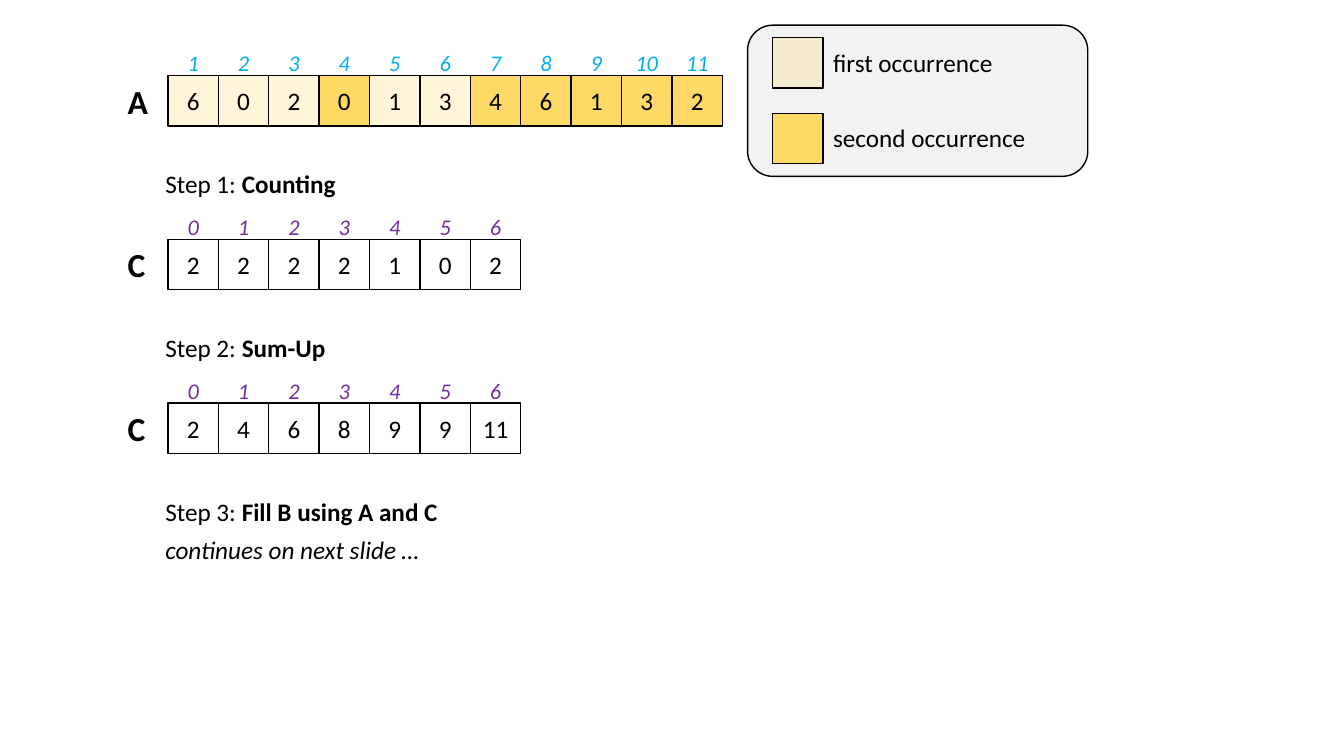
from pptx import Presentation
from pptx.dml.color import RGBColor
from pptx.enum.shapes import MSO_SHAPE as SHAPE
from pptx.enum.text import MSO_ANCHOR as ANCHOR, MSO_AUTO_SIZE as AUTO, PP_ALIGN as ALIGN
from pptx.oxml.ns import qn
from pptx.util import Emu, Pt
from lxml import etree

CELL = 48
INDEX_RISE = 36      # index boxes start this far above their cells
LABEL_OFFSET = 48    # array name sits this far left of its cells
STEP_PITCH = 156
LINE_H = 38

BLACK, GOLD, GREY = "000000", "FFD966", "F2F2F2"
BLUE, PURPLE = "00B0F0", "7030A0"


def px(n):
    return Emu(n * 9525)


def color(value):
    return RGBColor.from_string(value)


def format_run(r, size, value=BLACK, bold=False, italic=False):
    r.font.name = "Calibri"
    r.font.size = Pt(size)
    r.font.color.rgb = color(value)
    r.font.bold = bold
    r.font.italic = italic


def add_text(s, x, y, w, h, text, size=18, value=BLACK, bold=False, italic=False):
    tf = s.shapes.add_textbox(px(x), px(y), px(w), px(h)).text_frame
    tf.word_wrap = True
    tf.auto_size = AUTO.SHAPE_TO_FIT_TEXT
    tf.text = text
    format_run(tf.paragraphs[0].runs[0], size, value, bold, italic)
    return tf


def center(tf):
    tf.vertical_anchor = ANCHOR.MIDDLE
    tf.paragraphs[0].alignment = ALIGN.CENTER


def add_box(s, x, y, w, h, fill=None, opacity=100, kind=SHAPE.RECTANGLE):
    sp = s.shapes.add_shape(kind, px(x), px(y), px(w), px(h))
    sp.shadow.inherit = False
    sp.line.color.rgb = color(BLACK)
    sp.line.width = Pt(1)
    if fill is None:
        sp.fill.background()
        return sp
    sp.fill.solid()
    sp.fill.fore_color.rgb = color(fill)
    if opacity < 100:
        clr = sp.fill._xPr.find(qn("a:solidFill"))[0]
        etree.SubElement(clr, qn("a:alpha"), val=str(opacity * 1000))
    return sp


def add_array(s, x, y, name, values, first_index, index_color, fills=None):
    """Named row of cells with an index above each one."""
    fills = fills or [(None, 100)] * len(values)
    for i, (value, (fill, opacity)) in enumerate(zip(values, fills)):
        left = x + i * CELL
        tf = add_box(s, left, y, CELL, CELL, fill, opacity).text_frame
        tf.text = str(value)
        format_run(tf.paragraphs[0].runs[0], 18)
        center(tf)
        tf = add_text(s, left, y - INDEX_RISE, CELL, CELL, str(first_index + i),
                      16, index_color, italic=True)
        tf.auto_size = AUTO.NONE
        center(tf)
    add_text(s, x - LABEL_OFFSET, y, 36, CELL, name, 24, bold=True)


def add_step(s, x, y, number, title):
    tf = add_text(s, x, y, 312, LINE_H, f"Step {number}: ")
    r = tf.paragraphs[0].add_run()
    r.text = title
    format_run(r, 18, bold=True)


def add_legend(s, x, y, w, h):
    add_box(s, x, y, w, h, GREY, kind=SHAPE.ROUNDED_RECTANGLE)
    entries = [("first occurrence", 25), ("second occurrence", 100)]
    for i, (text, opacity) in enumerate(entries):
        top = y + 12 + i * 72
        add_box(s, x + 24, top, CELL, CELL, GOLD, opacity)
        add_text(s, x + 24 + CELL, top + 4, 228, LINE_H, text)


def add_counting_sort(s, x, y):
    """Input array, then one block per step at an equal pitch."""
    numbers = [6, 0, 2, 0, 1, 3, 4, 6, 1, 3, 2]
    seconds = {3, 6, 7, 8, 9, 10}
    fills = [(GOLD, 100 if i in seconds else 25) for i in range(len(numbers))]
    add_array(s, x, y, "A", numbers, 1, BLUE, fills)

    text_x = x - 12
    steps = [("Counting", [2, 2, 2, 2, 1, 0, 2]),
             ("Sum-Up", [2, 4, 6, 8, 9, 9, 11]),
             ("Fill B using A and C", None)]
    for number, (title, counts) in enumerate(steps, 1):
        row_y = y + number * STEP_PITCH
        add_step(s, text_x, row_y - 72, number, title)
        if counts:
            add_array(s, x, row_y, "C", counts, 0, PURPLE)
        else:
            add_text(s, text_x, row_y - 36, 312, LINE_H,
                     "continues on next slide …", italic=True)


def main():
    prs = Presentation()
    prs.slide_width, prs.slide_height = px(1280), px(720)
    s = prs.slides.add_slide(prs.slide_layouts[6])
    add_legend(s, 712, 24, 324, 144)
    add_counting_sort(s, 160, 72)
    prs.save("out.pptx")


if __name__ == "__main__":
    main()
